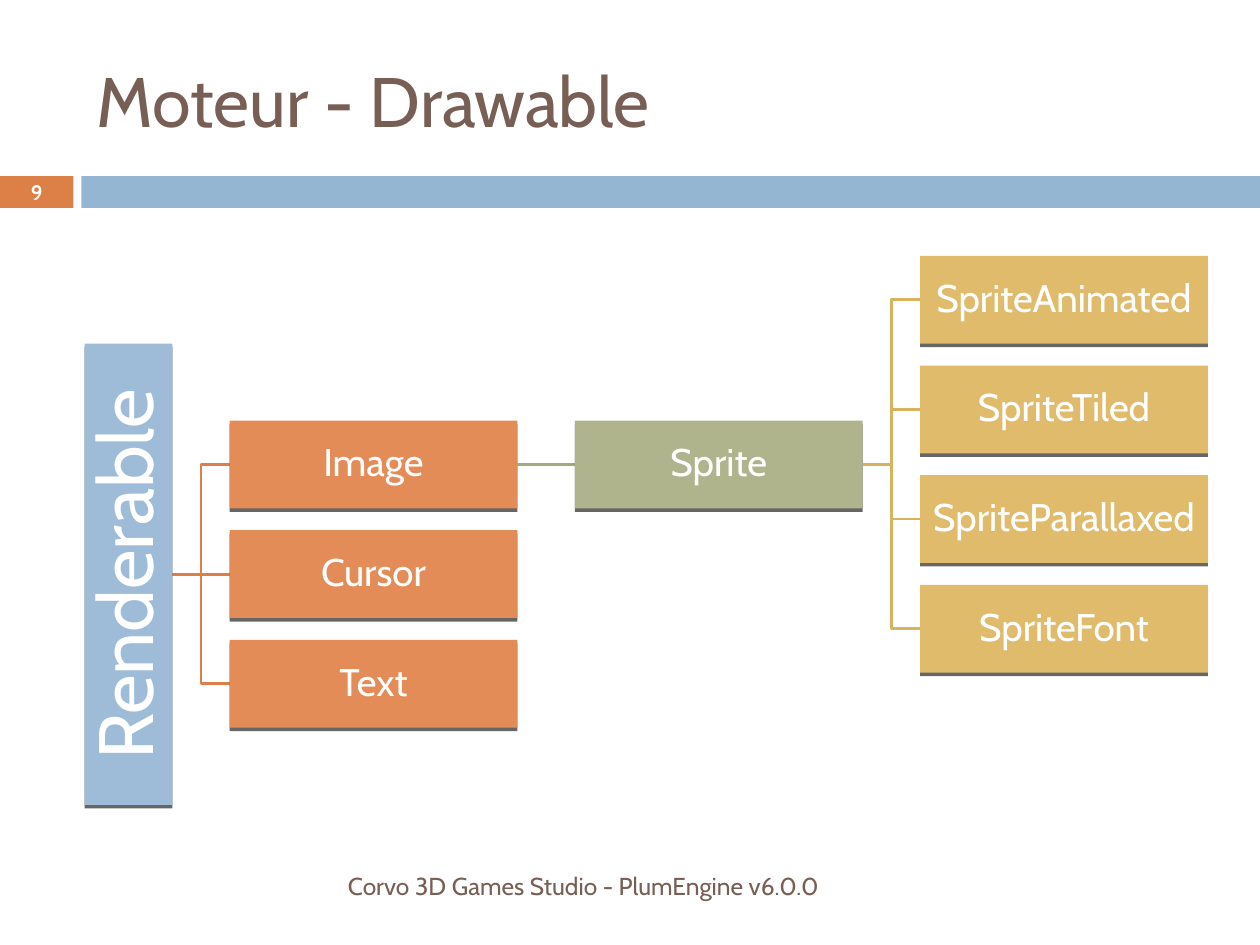
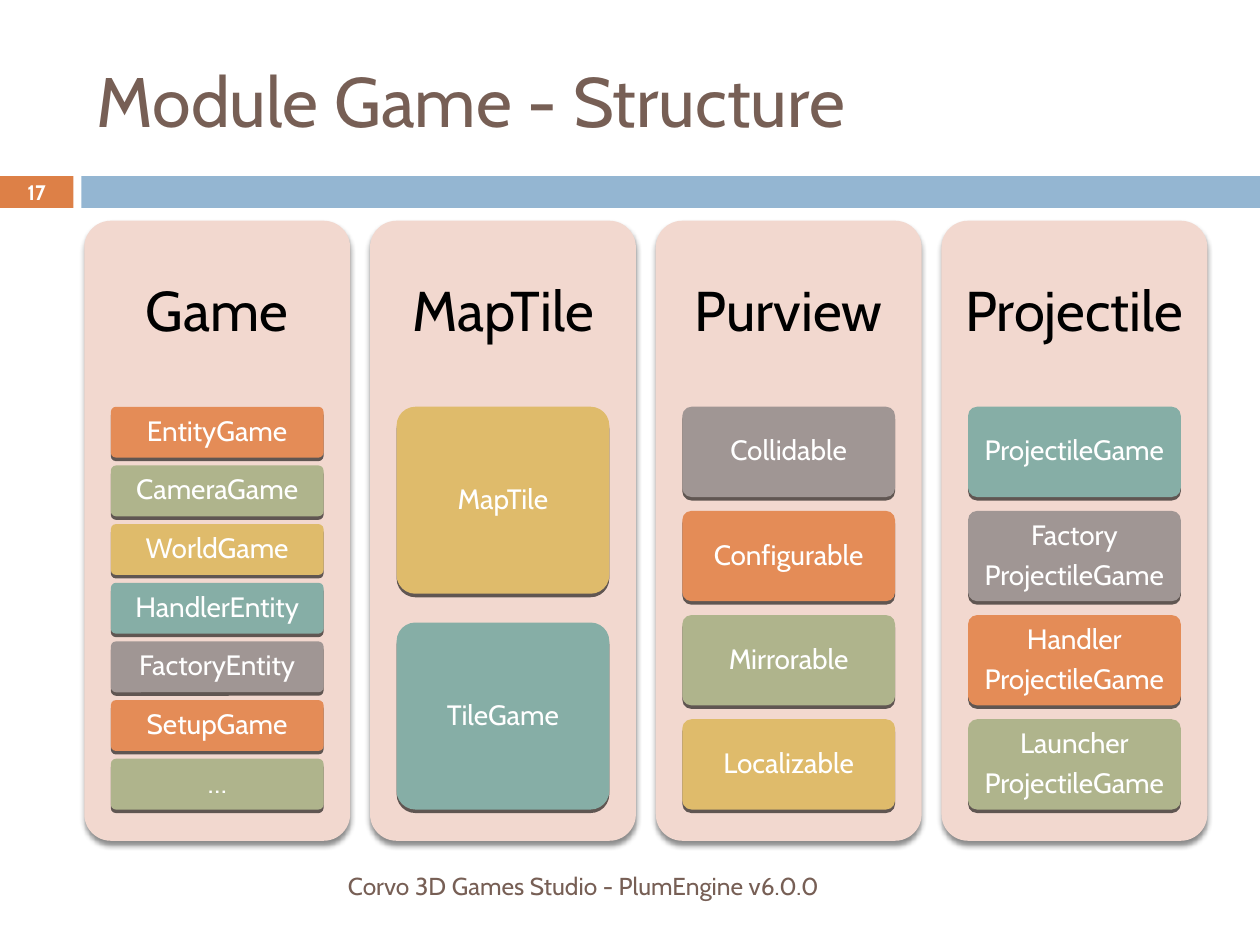
import itertools

import pptx
import pptx.dml.color
import pptx.enum.shapes
import pptx.enum.text
import pptx.oxml
import pptx.oxml.ns
import pptx.util

Cm = pptx.util.Cm
Pt = pptx.util.Pt
RGBColor = pptx.dml.color.RGBColor
SHAPE = pptx.enum.shapes.MSO_SHAPE
CONNECTOR = pptx.enum.shapes.MSO_CONNECTOR
ALIGN = pptx.enum.text.PP_ALIGN
MIDDLE = pptx.enum.text.MSO_ANCHOR.MIDDLE

FONT = "Cabin"
WHITE = RGBColor(0xFF, 0xFF, 0xFF)
BLACK = RGBColor(0x00, 0x00, 0x00)
BROWN = RGBColor(0x77, 0x5F, 0x55)
BAND_ORANGE = RGBColor(0xDD, 0x80, 0x47)
BAND_BLUE = RGBColor(0x94, 0xB6, 0xD2)
LINK_GREEN = RGBColor(0xA5, 0xAB, 0x81)
LINK_GOLD = RGBColor(0xD8, 0xB2, 0x5C)
BLUE = RGBColor(0x9E, 0xBC, 0xD7)
ORANGE = RGBColor(0xE4, 0x8C, 0x57)
GREEN = RGBColor(0xAF, 0xB4, 0x8C)
GOLD = RGBColor(0xDF, 0xBB, 0x6B)
TEAL = RGBColor(0x86, 0xAE, 0xA6)
GREY = RGBColor(0xA0, 0x96, 0x94)
PINK = RGBColor(0xF2, 0xD8, 0xCF)

FOOTER = "Corvo 3D Games Studio - PlumEngine v6.0.0"
BOX_SHADOW = (0, 2, 60)
CARD_SHADOW = (3, 2.4, 45)


def write(shape, text, size, color, align, bold=False, inset=None, spaced=False):
    frame = shape.text_frame
    frame.text = text
    frame.word_wrap = True
    frame.vertical_anchor = MIDDLE
    if inset is not None:
        frame.margin_left = frame.margin_right = Cm(inset)
        frame.margin_top = frame.margin_bottom = Cm(inset)
    for paragraph in frame.paragraphs:
        paragraph.alignment = align
        if spaced:
            paragraph.line_spacing = 0.9
            paragraph.space_after = Pt(size * 0.35)
        for run in paragraph.runs:
            run.font.name = FONT
            run.font.size = Pt(size)
            run.font.bold = bold
            run.font.color.rgb = color


def add_panel(slide, kind, left, top, width, height, color, shadow=None):
    panel = slide.shapes.add_shape(kind, Cm(left), Cm(top), Cm(width), Cm(height))
    panel.fill.solid()
    panel.fill.fore_color.rgb = color
    panel.line.fill.background()
    panel.shadow.inherit = False
    if kind == SHAPE.ROUNDED_RECTANGLE:
        panel.adjustments[0] = 0.1
    if shadow:
        blur, distance, opacity = shadow
        effects = panel._element.spPr.find(pptx.oxml.ns.qn("a:effectLst"))
        effects.append(pptx.oxml.parse_xml(
            f'<a:outerShdw {pptx.oxml.ns.nsdecls("a")} blurRad="{Pt(blur)}" '
            f'dist="{Pt(distance)}" dir="5400000" rotWithShape="0">'
            f'<a:srgbClr val="000000"><a:alpha val="{opacity * 1000}"/></a:srgbClr>'
            '</a:outerShdw>'))
    return panel


deck = pptx.Presentation()
deck.slide_width = Cm(25.4)
deck.slide_height = Cm(19.05)

slides = []
for title, number in (("Moteur - Drawable", "9"), ("Module Game - Structure", "17")):
    slide = deck.slides.add_slide(deck.slide_layouts[6])
    number_band = add_panel(slide, SHAPE.RECTANGLE, 0, 3.55, 1.48, 0.64, BAND_ORANGE)
    write(number_band, number, 12, WHITE, ALIGN.CENTER, bold=True, inset=0)
    add_panel(slide, SHAPE.RECTANGLE, 1.64, 3.55, 23.76, 0.64, BAND_BLUE)
    heading = slide.shapes.add_textbox(Cm(1.7), Cm(0.64), Cm(22.66), Cm(2.74))
    write(heading, title, 40, BROWN, ALIGN.LEFT)
    footer = slide.shapes.add_textbox(Cm(1.7), Cm(17.35), Cm(15.06), Cm(1.02))
    write(footer, FOOTER, 14, BROWN, ALIGN.RIGHT)
    slides.append(slide)
drawable, structure = slides

BOX_W, BOX_H, ROW_STEP = 5.8, 1.77, 2.21
ROOT_X, ROOT_LENGTH = 2.59, 9.3
LEVELS = [
    (4.63, 8.48, ORANGE, BAND_ORANGE, ["Image", "Cursor", "Text"]),
    (11.59, 8.48, GREEN, LINK_GREEN, ["Sprite"]),
    (18.55, 5.16, GOLD, LINK_GOLD,
     ["SpriteAnimated", "SpriteTiled", "SpriteParallaxed", "SpriteFont"]),
]

root_y = 8.48 + ROW_STEP + BOX_H / 2
parent_right, parent_y = ROOT_X + BOX_H / 2, root_y
for left, first_top, color, link_color, names in LEVELS:
    for row, name in enumerate(names):
        top = first_top + row * ROW_STEP
        child_y = top + BOX_H / 2
        straight = abs(child_y - parent_y) < 0.01
        link = drawable.shapes.add_connector(
            CONNECTOR.STRAIGHT if straight else CONNECTOR.ELBOW,
            Cm(parent_right), Cm(parent_y), Cm(left), Cm(child_y))
        link.line.color.rgb = link_color
        link.line.width = Pt(1.5)
        link._element.spPr.append(pptx.oxml.parse_xml(
            f'<a:effectLst {pptx.oxml.ns.nsdecls("a")}/>'))
        box = add_panel(drawable, SHAPE.RECTANGLE, left, top, BOX_W, BOX_H, color, BOX_SHADOW)
        write(box, name, 22, WHITE, ALIGN.CENTER, inset=0.05, spaced=True)
    parent_right, parent_y = left + BOX_W, first_top + BOX_H / 2

root = add_panel(drawable, SHAPE.RECTANGLE, ROOT_X - ROOT_LENGTH / 2, root_y - BOX_H / 2,
                 ROOT_LENGTH, BOX_H, BLUE, BOX_SHADOW)
root.rotation = 270
write(root, "Renderable", 44, WHITE, ALIGN.CENTER, inset=0.08, spaced=True)

CARD_W, CARD_STEP, CARD_TOP, CARD_H, HEAD_H = 5.36, 5.76, 4.45, 12.5, 3.75
STACK_H, GAP_RATIO = 8.12, 0.154
MODULES = [
    ("Game", ["EntityGame", "CameraGame", "WorldGame", "HandlerEntity",
              "FactoryEntity", "SetupGame", "…"]),
    ("MapTile", ["MapTile", "TileGame"]),
    ("Purview", ["Collidable", "Configurable", "Mirrorable", "Localizable"]),
    ("Projectile", ["ProjectileGame", "Factory\nProjectileGame",
                    "Handler\nProjectileGame", "Launcher\nProjectileGame"]),
]

class_colors = itertools.cycle([ORANGE, GREEN, GOLD, TEAL, GREY])
for column, (module, classes) in enumerate(MODULES):
    left = 1.7 + column * CARD_STEP
    add_panel(structure, SHAPE.ROUNDED_RECTANGLE, left, CARD_TOP, CARD_W, CARD_H,
              PINK, CARD_SHADOW)
    module_head = structure.shapes.add_textbox(Cm(left), Cm(CARD_TOP), Cm(CARD_W), Cm(HEAD_H))
    write(module_head, module, 32, BLACK, ALIGN.CENTER, inset=0.33, spaced=True)
    count = len(classes)
    class_h = STACK_H / (count + (count - 1) * GAP_RATIO)
    for row, name in enumerate(classes):
        top = CARD_TOP + HEAD_H + row * class_h * (1 + GAP_RATIO)
        class_box = add_panel(structure, SHAPE.ROUNDED_RECTANGLE, left + CARD_W / 10, top,
                              CARD_W * 0.8, class_h, next(class_colors), BOX_SHADOW)
        write(class_box, name, 16, WHITE, ALIGN.CENTER, inset=0.08, spaced=True)

deck.save("out.pptx")
